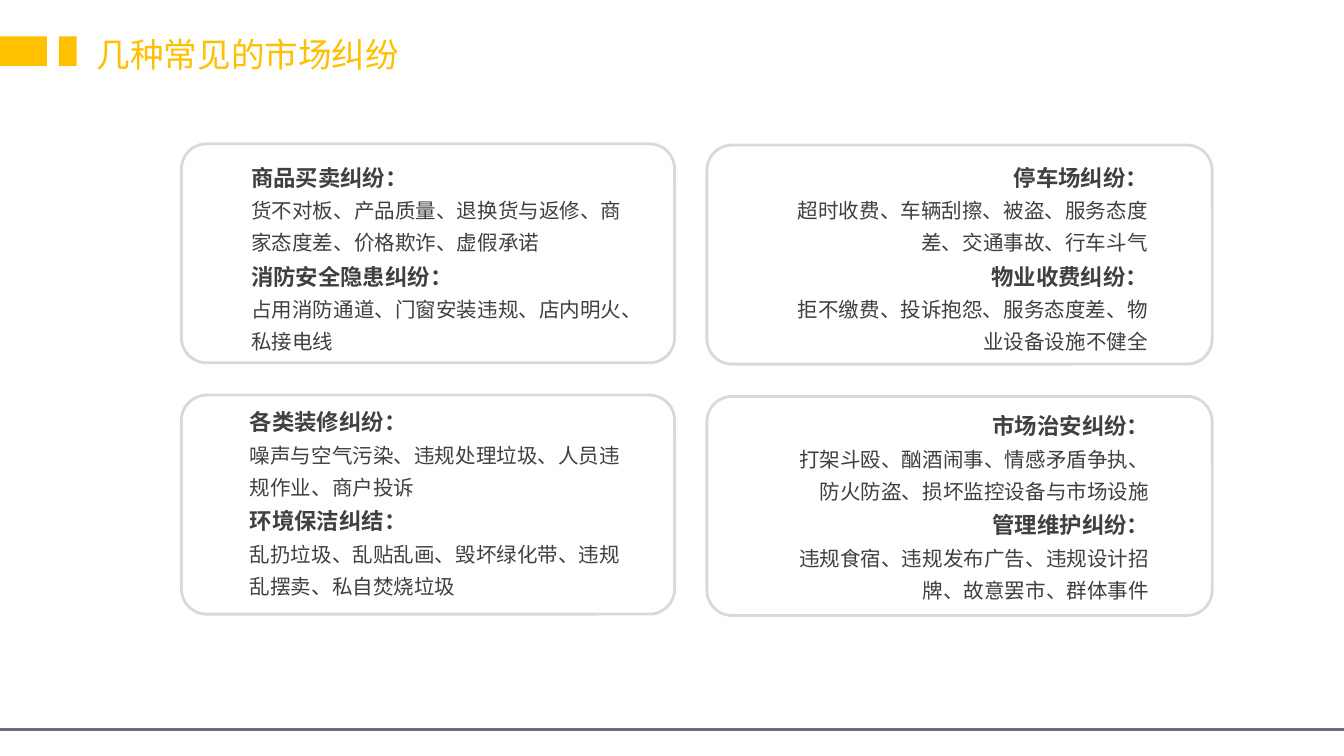
from dataclasses import dataclass

from lxml.etree import SubElement
from pptx import Presentation
from pptx.dml.color import RGBColor
from pptx.enum.shapes import MSO_CONNECTOR, MSO_SHAPE
from pptx.enum.text import MSO_AUTO_SIZE, PP_ALIGN
from pptx.oxml.ns import qn
from pptx.slide import Slide
from pptx.text.text import TextFrame
from pptx.util import Inches, Pt

AMBER = RGBColor(0xFF, 0xC0, 0x00)
BORDER = RGBColor(0xD9, 0xD9, 0xD9)
INK = RGBColor(0x40, 0x40, 0x40)
FOOTER = RGBColor(0x73, 0x68, 0x7C)
FONT = "Arial"
PAGE_WIDTH = 10
PAGE_HEIGHT = PAGE_WIDTH * 9 / 16
FRAME_HEIGHT = 1.63
TEXT_HEIGHT = 1.59


@dataclass(frozen=True)
class Column:
    frame_left: float
    frame_width: float
    text_width: float
    align: PP_ALIGN


@dataclass(frozen=True)
class Card:
    column: Column
    frame_top: float
    text_left: float
    text_top: float
    topics: tuple[tuple[str, str], ...]


LEFT = Column(1.35, 3.67, 3.05, PP_ALIGN.LEFT)
RIGHT = Column(5.26, 3.76, 2.95, PP_ALIGN.RIGHT)

CARDS = (
    Card(LEFT, 1.07, 1.77, 1.11, (
        ("商品买卖纠纷：", "货不对板、产品质量、退换货与返修、商家态度差、价格欺诈、虚假承诺"),
        ("消防安全隐患纠纷：", "占用消防通道、门窗安装违规、店内明火、私接电线"),
    )),
    Card(RIGHT, 1.08, 5.69, 1.11, (
        ("停车场纠纷：", "超时收费、车辆刮擦、被盗、服务态度差、交通事故、行车斗气"),
        ("物业收费纠纷：", "拒不缴费、投诉抱怨、服务态度差、物业设备设施不健全"),
    )),
    Card(LEFT, 2.94, 1.76, 2.93, (
        ("各类装修纠纷：", "噪声与空气污染、违规处理垃圾、人员违规作业、商户投诉"),
        ("环境保洁纠结：", "乱扔垃圾、乱贴乱画、毁坏绿化带、违规乱摆卖、私自焚烧垃圾"),
    )),
    Card(RIGHT, 2.95, 5.7, 2.96, (
        ("市场治安纠纷：", "打架斗殴、酗酒闹事、情感矛盾争执、防火防盗、损坏监控设备与市场设施"),
        ("管理维护纠纷：", "违规食宿、违规发布广告、违规设计招牌、故意罢市、群体事件"),
    )),
)


def add_frame(page: Slide, card: Card) -> None:
    column = card.column
    frame = page.shapes.add_shape(
        MSO_SHAPE.ROUNDED_RECTANGLE, Inches(column.frame_left), Inches(card.frame_top),
        Inches(column.frame_width), Inches(FRAME_HEIGHT))
    frame.adjustments[0] = 0.115
    frame.shadow.inherit = False
    frame.fill.background()
    frame.line.color.rgb = BORDER
    frame.line.width = Pt(1.5)


def add_text_box(page: Slide, left: float, top: float, width: float, height: float) -> TextFrame:
    box = page.shapes.add_textbox(Inches(left), Inches(top), Inches(width), Inches(height))
    box.text_frame.word_wrap = True
    box.text_frame.auto_size = MSO_AUTO_SIZE.SHAPE_TO_FIT_TEXT
    return box.text_frame


def write(frame: TextFrame, text: str, *, size: float, color: RGBColor = INK, bold: bool = False,
          align: PP_ALIGN = PP_ALIGN.LEFT, spacing: float = 1.0) -> None:
    para = frame.add_paragraph() if frame.text else frame.paragraphs[0]
    para.alignment = align
    para.line_spacing = spacing
    span = para.add_run()
    span.text = text
    span.font.name = FONT
    span.font.size = Pt(size)
    span.font.bold = bold
    span.font.color.rgb = color


def add_card_text(page: Slide, card: Card) -> None:
    column = card.column
    frame = add_text_box(page, card.text_left, card.text_top, column.text_width, TEXT_HEIGHT)
    for heading, detail in card.topics:
        write(frame, heading, size=12, bold=True, align=column.align, spacing=1.3)
        write(frame, detail, size=11, align=column.align, spacing=1.3)


def add_footer_line(page: Slide) -> None:
    line = page.shapes.add_connector(
        MSO_CONNECTOR.STRAIGHT, Inches(0), Inches(5.43), Inches(PAGE_WIDTH), Inches(5.43))
    line.line.color.rgb = FOOTER
    line.line.width = Pt(1.5)
    SubElement(line._element.spPr, qn("a:effectLst"))


def add_title(page: Slide) -> None:
    frame = add_text_box(page, 0.65, 0.21, 5.1, 0.38)
    frame.margin_left = frame.margin_right = Inches(0.07)
    frame.margin_top = frame.margin_bottom = Inches(0.04)
    write(frame, "几种常见的市场纠纷", size=18, color=AMBER)
    for left, width in ((0, 0.35), (0.44, 0.13)):
        block = page.shapes.add_shape(
            MSO_SHAPE.RECTANGLE, Inches(left), Inches(0.27), Inches(width), Inches(0.22))
        block.shadow.inherit = False
        block.fill.solid()
        block.fill.fore_color.rgb = AMBER
        block.line.fill.background()


def main() -> None:
    """Build the slide on common market disputes."""
    deck = Presentation()
    deck.slide_width = Inches(PAGE_WIDTH)
    deck.slide_height = Inches(PAGE_HEIGHT)
    page = deck.slides.add_slide(deck.slide_layouts[6])
    for card in CARDS:
        add_frame(page, card)
    for card in CARDS:
        add_card_text(page, card)
    add_footer_line(page)
    add_title(page)
    deck.save("out.pptx")


if __name__ == "__main__":
    main()
